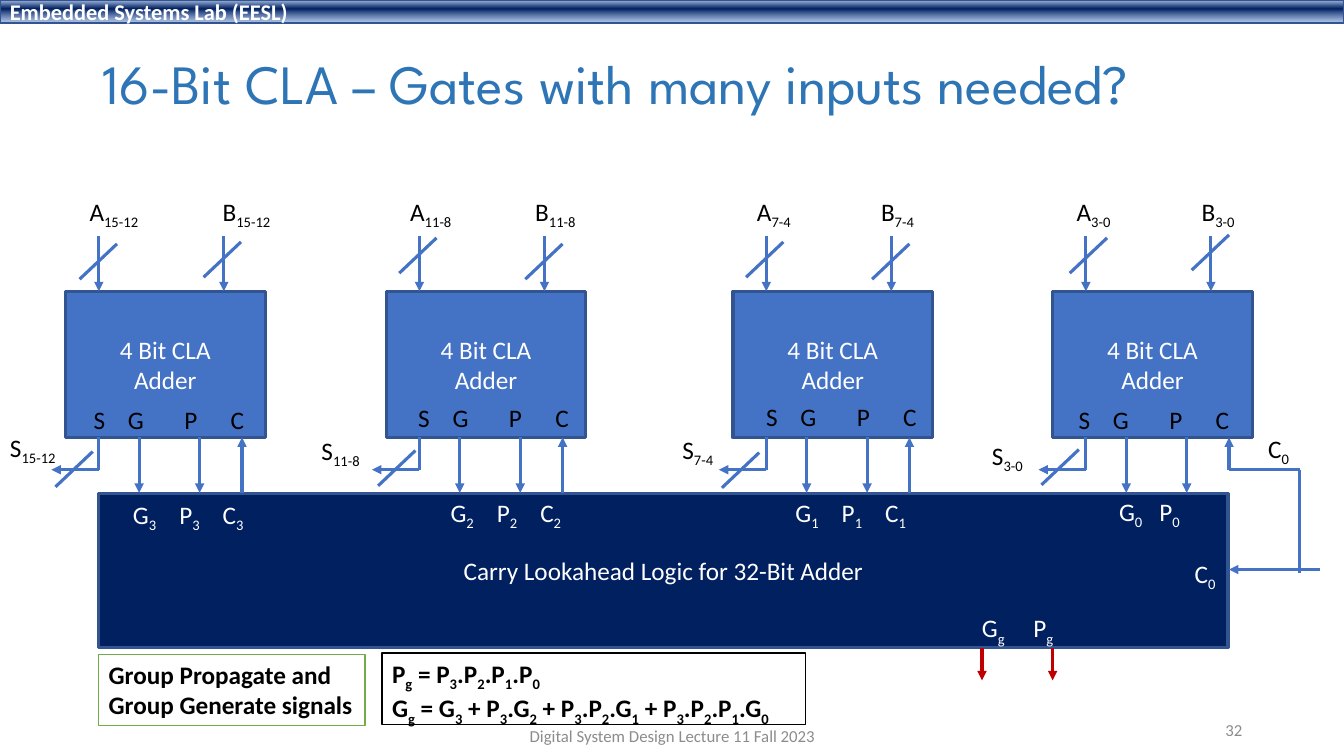
from lxml.etree import SubElement
from pptx import Presentation
from pptx.dml.color import RGBColor
from pptx.enum.shapes import MSO_CONNECTOR, MSO_SHAPE
from pptx.enum.text import MSO_ANCHOR, MSO_AUTO_SIZE, PP_ALIGN
from pptx.oxml import parse_xml
from pptx.oxml.ns import nsdecls, qn
from pptx.util import Pt

PX = 9144  # 100 px to the inch
COLORS = {
    "blue": "4472C4", "edge": "325491", "navy": "002060", "title": "2E75B6",
    "red": "C00000", "green": "70AD47", "gray": "8C8C8C",
    "black": "000000", "white": "FFFFFF",
}
RGB = {name: RGBColor.from_string(code) for name, code in COLORS.items()}

prs = Presentation()
prs.slide_width, prs.slide_height = 1333 * PX, 750 * PX
s = prs.slides.add_slide(prs.slide_layouts[5])


def add_text(text, x, y, w, h, sp=None, fill=None, line=None, line_width=2.25,
             size=18, font="Calibri", color="black", bold=False, wrap=True,
             align=PP_ALIGN.LEFT, anchor=MSO_ANCHOR.TOP, spacing=None, tabs=()):
    """Write text in sp, a new rectangle (if line is set) or a new text box.

    Text between a pair of underscores is subscript; tabs are in px.
    """
    box = [v * PX for v in (x, y, w, h)]
    if sp is not None:
        sp.left, sp.top, sp.width, sp.height = box
    elif line:
        sp = s.shapes.add_shape(MSO_SHAPE.RECTANGLE, *box)
        sp.shadow.inherit = False
        sp.line.color.rgb = RGB[line]
        sp.line.width = Pt(line_width)
    else:
        sp = s.shapes.add_textbox(*box)
    if fill:
        sp.fill.solid()
        sp.fill.fore_color.rgb = RGB[fill]
    tf = sp.text_frame
    tf.word_wrap = wrap
    tf.auto_size = MSO_AUTO_SIZE.NONE
    tf.vertical_anchor = anchor
    for i, content in enumerate(text.split("\n")):
        p = tf.add_paragraph() if i else tf.paragraphs[0]
        p.alignment = align
        if spacing:
            p.line_spacing = spacing
        if tabs:
            stops = SubElement(p._p.get_or_add_pPr(), qn("a:tabLst"))
            for pos in tabs:
                SubElement(stops, qn("a:tab"), pos=str(pos * PX), algn="l")
        for j, part in enumerate(content.split("_")):
            if not part:
                continue
            r = p.add_run()
            r.text = part
            r.font.size, r.font.name, r.font.bold = Pt(size), font, bold
            r.font.color.rgb = RGB[color]
            if j % 2:
                r._r.get_or_add_rPr().set("baseline", "-25000")
    return sp


def add_line(x1, y1, x2, y2, color="blue", arrow=False):
    cx = s.shapes.add_connector(MSO_CONNECTOR.STRAIGHT, x1 * PX, y1 * PX, x2 * PX, y2 * PX)
    cx.line.color.rgb = RGB[color]
    cx.line.width = Pt(2.25)
    if arrow:
        SubElement(cx.line._get_or_add_ln(), qn("a:tailEnd"), type="triangle")
    SubElement(cx._element.spPr, qn("a:effectLst"))


# Header band, title and footer
band = add_text("Embedded Systems Lab (EESL)", 0, 0, 1333, 23, line="edge", line_width=1,
                size=16, color="white", bold=True, anchor=MSO_ANCHOR.MIDDLE)
band.fill.background()
no_fill = band._element.spPr.find(qn("a:noFill"))
no_fill.getparent().replace(no_fill, parse_xml(
    f'<a:gradFill {nsdecls("a")} rotWithShape="1"><a:gsLst>'
    '<a:gs pos="2000"><a:srgbClr val="ABC0E4"/></a:gs>'
    '<a:gs pos="38000"><a:srgbClr val="002060"/></a:gs>'
    '<a:gs pos="93000"><a:srgbClr val="7E9ED6"><a:alpha val="64000"/></a:srgbClr></a:gs>'
    '</a:gsLst><a:lin ang="5400000" scaled="0"/></a:gradFill>'))
add_text("16-Bit CLA – Gates with many inputs needed?", 92, 29, 1150, 114,
         sp=s.shapes.title, size=39.6, font="League Spartan", color="title",
         anchor=MSO_ANCHOR.MIDDLE, spacing=0.9)
add_text("32", 942, 709, 300, 40, size=12, color="gray", align=PP_ALIGN.RIGHT)
add_text("Digital System Design Lecture 11 Fall 2023", 442, 710, 450, 40, size=12,
         color="gray", align=PP_ALIGN.CENTER, anchor=MSO_ANCHOR.MIDDLE)

# Lookahead logic
add_text("Carry Lookahead Logic for 32-Bit Adder", 98, 490, 1120, 152, fill="navy",
         line="edge", color="white", align=PP_ALIGN.CENTER, anchor=MSO_ANCHOR.MIDDLE)

# Adders: left edge, bits, label width, B label x, then (x, y) of the sum label,
# pin names, group signals and the lower ends of the A, B and S bus slashes
ADDERS = [
    (65, "15-12", 74, 211, (0, 424), (83, 396), (122, 490),
     [(79, 277), (202, 275), (55, 483)]),
    (383, "11-8", 66, 521, (309, 427), (405, 394), (437, 488),
     [(396, 271), (521, 277), (375, 482)]),
    (727, "7-4", 57, 864, (667, 426), (750, 393), (779, 488),
     [(740, 275), (865, 277), (716, 484)]),
    (1044, "3-0", 57, 1182, (974, 432), (1060, 396), (1100, 487),
     [(1061, 271), (1182, 268), (1033, 481)]),
]
TOP, BOTTOM, LOGIC, ELBOW = 289, 434, 489, 466
for i, (x, bits, width, b_x, total, pins, signals, slashes) in enumerate(ADDERS):
    group = len(ADDERS) - 1 - i
    add_text("4 Bit CLA\nAdder", x, TOP, 198, 145, fill="blue", line="edge",
             color="white", align=PP_ALIGN.CENTER, anchor=MSO_ANCHOR.MIDDLE)
    for dx in (33, 157):
        add_line(x + dx, 234, x + dx, TOP, arrow=True)
    for dx in (73, 133):
        add_line(x + dx, BOTTOM, x + dx, LOGIC, arrow=True)
    add_line(x + 175, LOGIC if group else ELBOW, x + 175, BOTTOM, arrow=True)
    add_line(x + 33, BOTTOM, x + 33, ELBOW)
    add_line(x + 33, ELBOW, x - 14, ELBOW, arrow=True)
    for sx, sy in slashes:
        add_line(sx, sy, sx + 37, sy - 35)

    add_text(f"A_{bits}_", x + 14, 190, width, 40, wrap=False)
    add_text(f"B_{bits}_", b_x, 190, width - 1, 40, wrap=False)
    add_text(f"S_{bits}_", *total, width - 3, 40, wrap=False)
    add_text("S\tG\tP\tC", *pins, 173, 40, tabs=(34, 90, 136))
    if group:
        add_text(f"G_{group}_\tP_{group}_\tC_{group}_", *signals, 135, 40,
                 color="white", tabs=(46, 89))
    else:
        add_text("G_0_\tP_0_", *signals, 88, 40, color="white", tabs=(40,))

# Carry in
add_line(1219, ELBOW, 1289, ELBOW)
add_line(1289, ELBOW, 1289, 568)
add_line(1309, 565, 1219, 565, arrow=True)
add_text("C_0_", 1248, 425, 42, 40, wrap=False)
add_text("C_0_", 1175, 549, 42, 40, color="white", wrap=False)

# Group signals
for x in (974, 1044):
    add_line(x, 643, x, 675, color="red", arrow=True)
add_text("G_g_\tP_g_", 964, 603, 100, 40, color="white", tabs=(51,))
add_text("P_g_ = P_3_.P_2_.P_1_.P_0_\n"
         "G_g_ = G_3_ + P_3_.G_2_ + P_3_.P_2_.G_1_ + P_3_.P_2_.P_1_.G_0_",
         379, 648, 420, 71, fill="white", line="black", line_width=1, bold=True)
add_text("Group Propagate and\nGroup Generate signals", 98, 649, 264, 71, fill="white",
         line="green", line_width=1, bold=True, wrap=False)

prs.save("out.pptx")
